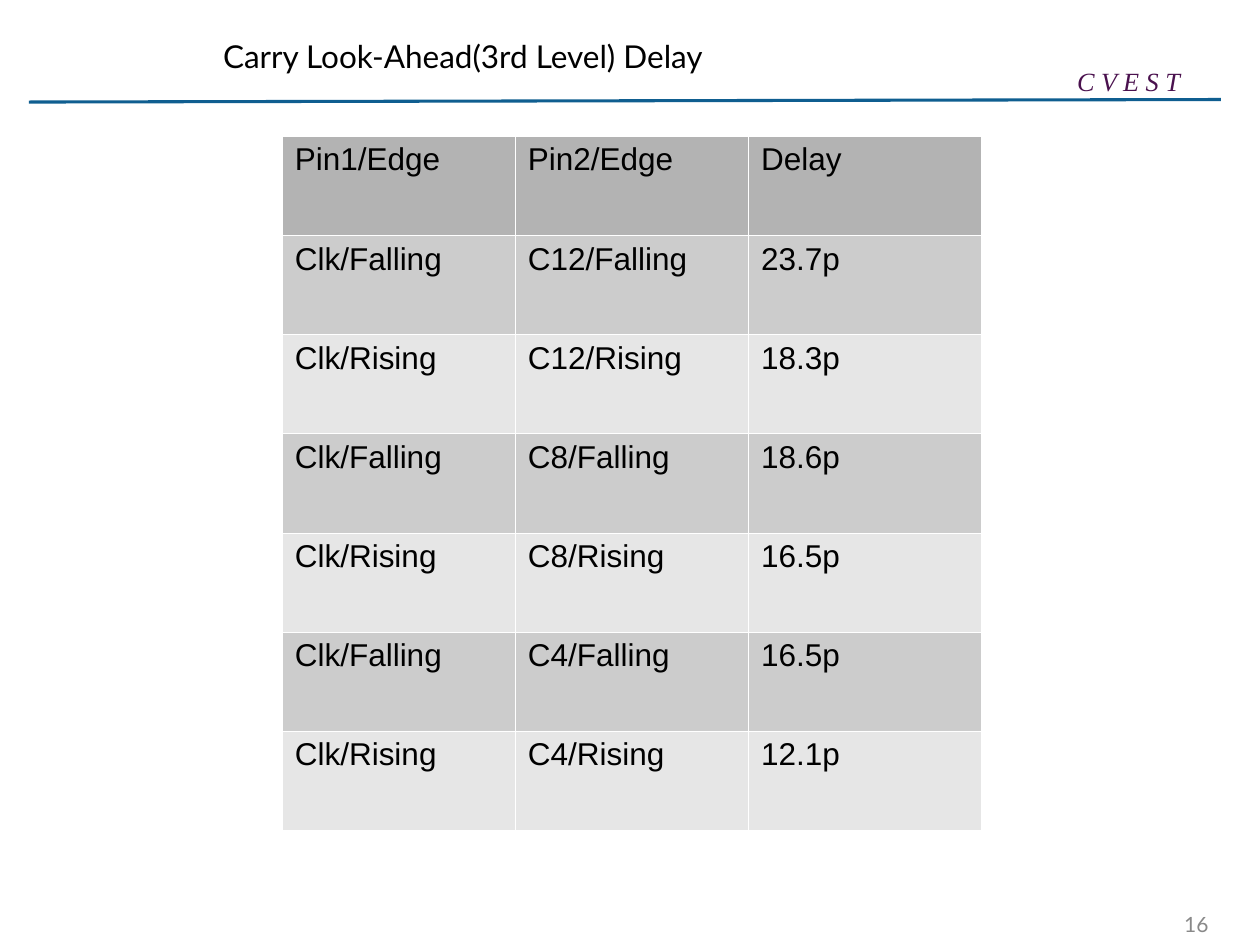
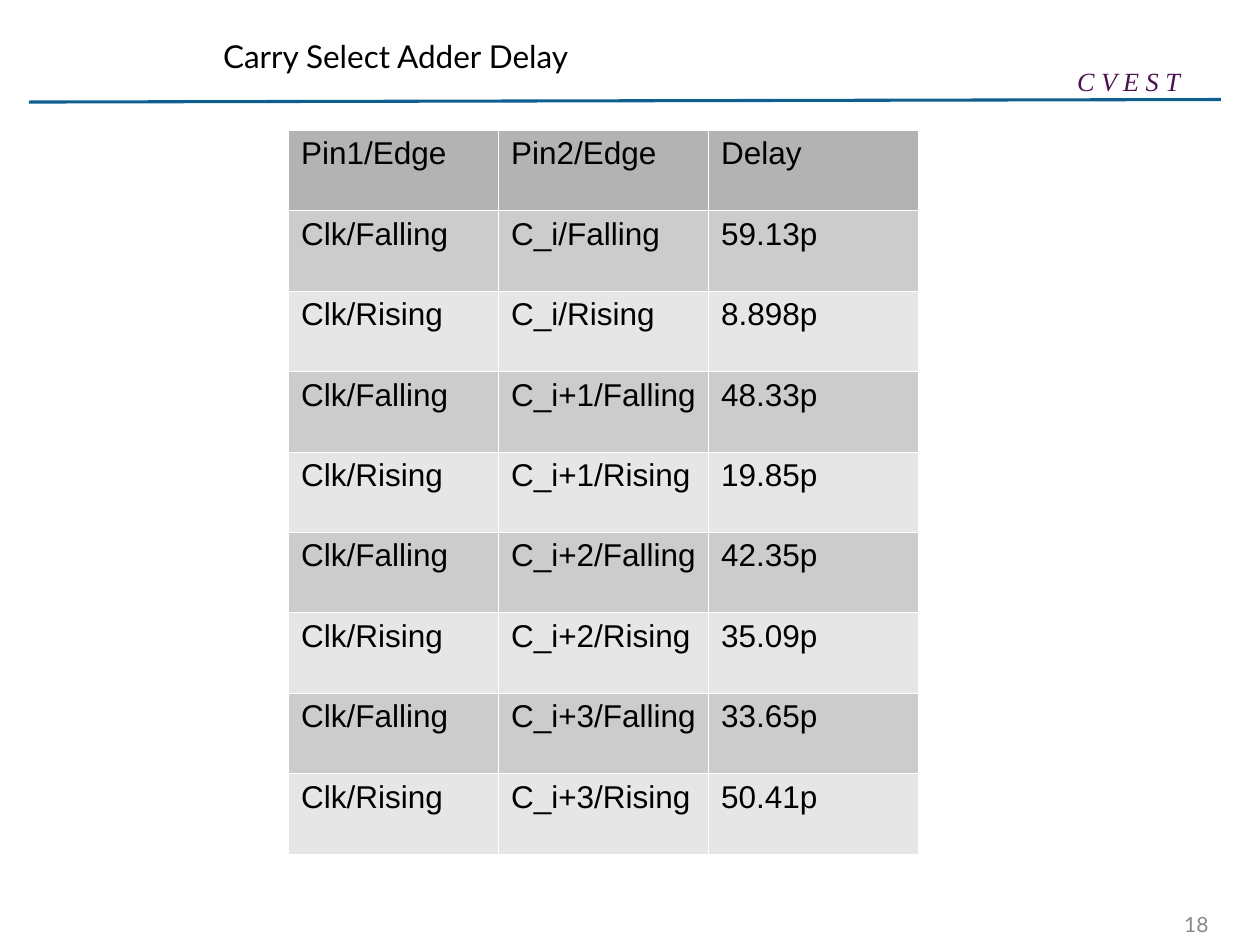
from lxml import etree
from pptx import Presentation
from pptx.dml.color import RGBColor
from pptx.enum.shapes import MSO_CONNECTOR
from pptx.enum.text import MSO_ANCHOR, PP_ALIGN
from pptx.oxml.ns import qn
from pptx.util import Inches, Pt

LEFT, RIGHT = PP_ALIGN.LEFT, PP_ALIGN.RIGHT
TOP, MIDDLE = MSO_ANCHOR.TOP, MSO_ANCHOR.MIDDLE
STRAIGHT = MSO_CONNECTOR.STRAIGHT
TITLE_ONLY = 5

COLORS = {
    "text": "000000",
    "rule": "0F5E90",
    "label": "4A114E",
    "number": "898989",
    "header": "B3B3B3",
    "falling": "CCCCCC",
    "rising": "E6E6E6",
    "border": "FFFFFF",
}
HEADINGS = ("Pin1/Edge", "Pin2/Edge", "Delay")

# Each signal has its falling delay, then its rising delay.
LOOK_AHEAD = [
    ("C12", "23.7p", "18.3p"),
    ("C8", "18.6p", "16.5p"),
    ("C4", "16.5p", "12.1p"),
]
CARRY_SELECT = [
    ("C_i", "59.13p", "8.898p"),
    ("C_i+1", "48.33p", "19.85p"),
    ("C_i+2", "42.35p", "35.09p"),
    ("C_i+3", "33.65p", "50.41p"),
]


def color(name):
    return RGBColor.from_string(COLORS[name])


class Deck:
    def __init__(self):
        self.prs = Presentation()
        self.prs.slide_width = Inches(10)
        self.prs.slide_height = Inches(7.5)
        self.slide = None

    def new_slide(self, title, number):
        """Start a slide with its rule, label, page number and title."""
        self.slide = self.prs.slides.add_slide(self.prs.slide_layouts[TITLE_ONLY])
        self.rule(0.23, 0.81, 9.69, 0.79)
        self.text_box("C V E S T", 8.45, 0.47, 1.29, 0.35,
                      size=15, font="Times New Roman", fill="label", italic=True)
        self.text_box(str(number), 8.86, 7.17, 0.83, 0.32, size=12, font="Lato",
                      fill="number", align=RIGHT, anchor=MIDDLE)
        self.title(title)

    def add_text(self, tf, text, size, font, fill, italic=False, align=LEFT):
        p = tf.paragraphs[0]
        p.alignment = align
        r = p.add_run()
        r.text = text
        r.font.size = Pt(size)
        r.font.name = font
        r.font.italic = italic
        r.font.color.rgb = color(fill)

    def title(self, text):
        sp = self.slide.shapes.title
        sp.left, sp.top = Inches(1.67), Inches(0.15)
        sp.width, sp.height = Inches(6.29), Inches(0.58)
        sp.text_frame.vertical_anchor = MIDDLE
        self.add_text(sp.text_frame, text, 18, "Lato", "text")

    def text_box(self, text, x, y, w, h, anchor=TOP, **style):
        sp = self.slide.shapes.add_textbox(Inches(x), Inches(y), Inches(w), Inches(h))
        tf = sp.text_frame
        tf.word_wrap = True
        tf.vertical_anchor = anchor
        self.add_text(tf, text, **style)

    def rule(self, x1, y1, x2, y2):
        line = self.slide.shapes.add_connector(
            STRAIGHT, Inches(x1), Inches(y1), Inches(x2), Inches(y2))
        line.line.color.rgb = color("rule")
        line.line.width = Pt(1.75)
        sp_pr = line._element.find(qn("p:spPr"))
        etree.SubElement(sp_pr, qn("a:effectLst"))

    def cell(self, cell, text, fill):
        tc_pr = cell._tc.get_or_add_tcPr()
        for side in ("lnL", "lnR", "lnT", "lnB"):
            ln = etree.SubElement(tc_pr, qn(f"a:{side}"), w=str(int(Pt(0.06))))
            solid = etree.SubElement(ln, qn("a:solidFill"))
            etree.SubElement(solid, qn("a:srgbClr"), val=COLORS["border"])
        cell.fill.solid()
        cell.fill.fore_color.rgb = color(fill)
        self.add_text(cell.text_frame, text, 18, "Arial", "text")

    def delay_table(self, signals, x, y, w, h):
        """Draw a falling row and a rising row for each signal."""
        rows = [("header", HEADINGS)]
        for signal, falling, rising in signals:
            for edge, delay in (("Falling", falling), ("Rising", rising)):
                rows.append((edge.lower(), (f"Clk/{edge}", f"{signal}/{edge}", delay)))
        table = self.slide.shapes.add_table(
            len(rows), len(HEADINGS), Inches(x), Inches(y), Inches(w), Inches(h)).table
        # Plain header: its weight comes from the fill alone.
        table.first_row = False
        for i, (fill, texts) in enumerate(rows):
            for j, text in enumerate(texts):
                self.cell(table.cell(i, j), text, fill)


def main():
    deck = Deck()
    deck.new_slide("Carry Look-Ahead(3rd Level) Delay", 16)
    deck.delay_table(LOOK_AHEAD, 2.24, 1.08, 5.55, 5.51)
    deck.new_slide("Carry Select Adder Delay", 18)
    deck.delay_table(CARRY_SELECT, 2.29, 1.03, 5, 5.75)
    deck.prs.save("out.pptx")


if __name__ == "__main__":
    main()
